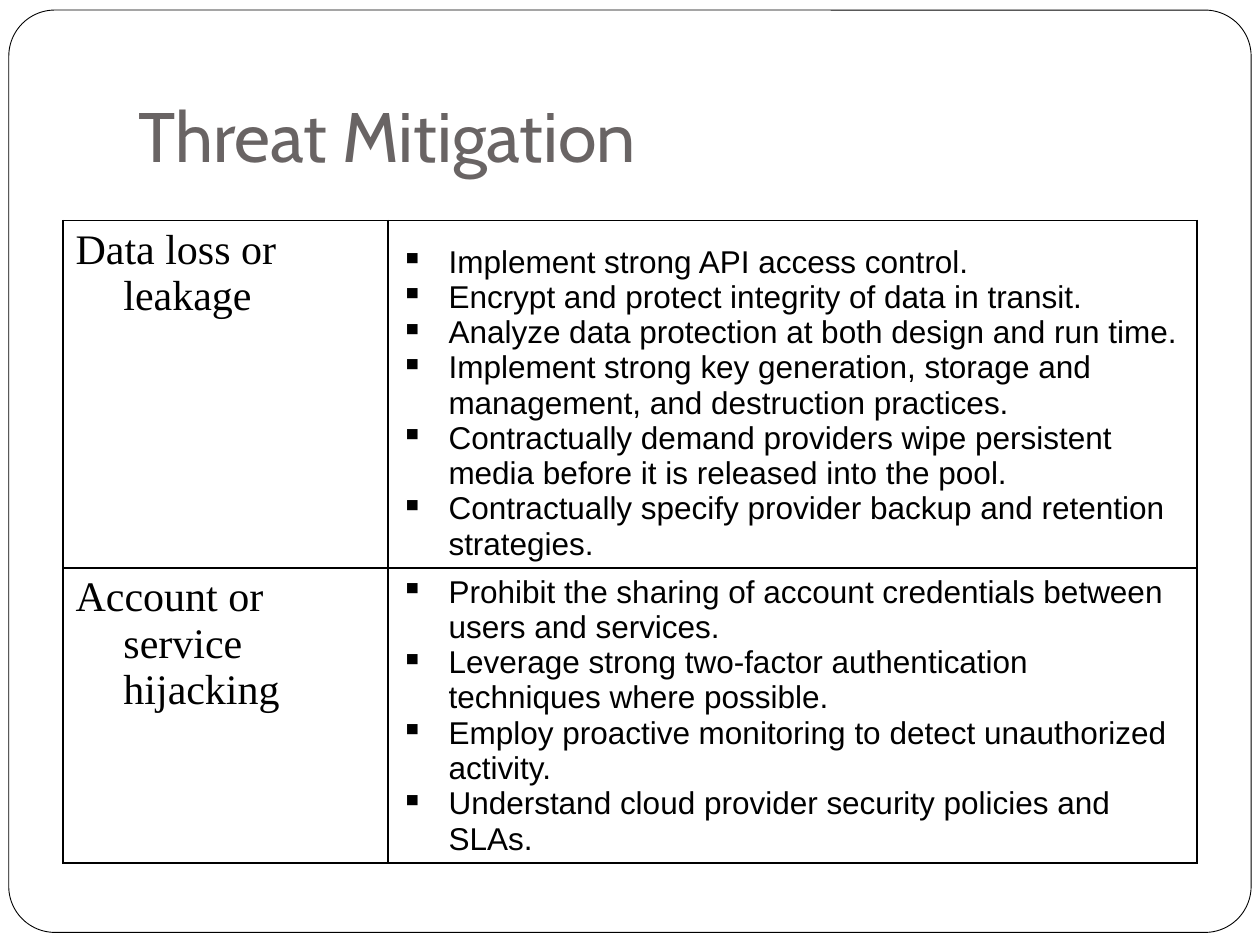
"""Build the Threat Mitigation slide."""
import pptx
import pptx.util
import pptx.dml.color
import pptx.enum.shapes
import pptx.enum.text
import lxml.etree

Inches = pptx.util.Inches
Pt = pptx.util.Pt
Anchor = pptx.enum.text.MSO_ANCHOR
NS = "http://schemas.openxmlformats.org/drawingml/2006/main"
BLACK, WHITE, GRAY = "000000", "FFFFFF", "696464"

THREATS = [
    ("Data loss or leakage", [
        "Implement strong API access control.",
        "Encrypt and protect integrity of data in transit.",
        "Analyze data protection at both design and run time.",
        "Implement strong key generation, storage and management, "
        "and destruction practices.",
        "Contractually demand providers wipe persistent media before "
        "it is released into the pool.",
        "Contractually specify provider backup and retention strategies.",
    ]),
    ("Account or service hijacking", [
        "Prohibit the sharing of account credentials between users "
        "and services.",
        "Leverage strong two-factor authentication techniques where possible.",
        "Employ proactive monitoring to detect unauthorized activity.",
        "Understand cloud provider security policies and SLAs.",
    ]),
]
COLS = [2.58, 6.42]
ROWS = [2.76, 2.34]


def color(code):
    return pptx.dml.color.RGBColor.from_string(code)


def sub(parent, tag, **attrs):
    return lxml.etree.SubElement(parent, f"{{{NS}}}{tag}", **attrs)


def style(para, face, size, code):
    para.font.name = face
    para.font.size = Pt(size)
    para.font.color.rgb = color(code)


def add_frame(slide):
    """Draw the rounded border behind everything else."""
    frame = slide.shapes.add_shape(
        pptx.enum.shapes.MSO_SHAPE.ROUNDED_RECTANGLE,
        Inches(0.07), Inches(0.08), Inches(9.86), Inches(7.32))
    frame.adjustments[0] = 0.05
    frame.shadow.inherit = False
    frame.fill.solid()
    frame.fill.fore_color.rgb = color(WHITE)
    frame.line.color.rgb = color(BLACK)
    frame.line.width = Pt(0.5)
    slide.shapes._spTree.insert(2, frame._element)


def set_title(slide, text):
    title = slide.shapes.title
    title.left, title.top = Inches(1), Inches(0.25)
    title.width, title.height = Inches(8.5), Inches(1.25)
    body = title.text_frame
    body.text = text
    body.auto_size = pptx.enum.text.MSO_AUTO_SIZE.NONE
    body.vertical_anchor = Anchor.BOTTOM
    body.margin_bottom = Inches(0.1)
    para = body.paragraphs[0]
    para.alignment = pptx.enum.text.PP_ALIGN.LEFT
    style(para, "Cabin", 40, GRAY)


def add_edges(cell):
    props = cell._tc.get_or_add_tcPr()
    for side in ("lnL", "lnR", "lnT", "lnB"):
        line = sub(props, side, w=str(Pt(1)))
        sub(sub(line, "solidFill"), "srgbClr", val=BLACK)


def fill_cell(cell, lines, face, size, anchor, mark=None):
    """Write hanging paragraphs, with a bullet if a mark is given."""
    add_edges(cell)
    cell.fill.background()
    cell.vertical_anchor = anchor
    cell.text = "\n".join(lines)
    for para in cell.text_frame.paragraphs:
        style(para, face, size, BLACK)
        props = para._p.get_or_add_pPr()
        props.set("marL", str(Inches(0.38)))
        props.set("indent", str(-Inches(0.38)))
        if mark:
            bullet = sub(props, "buChar", char=mark)
            props.remove(bullet)
            props.insert(0, bullet)


def add_grid(slide):
    table = slide.shapes.add_table(
        len(ROWS), len(COLS), Inches(0.5), Inches(1.75),
        Inches(sum(COLS)), Inches(sum(ROWS))).table
    table.first_row = table.horz_banding = False
    for col, width in zip(table.columns, COLS):
        col.width = Inches(width)
    for row, height, (threat, steps) in zip(table.rows, ROWS, THREATS):
        row.height = Inches(height)
        name, list_ = row.cells
        fill_cell(name, [threat], "Times New Roman", 24, Anchor.TOP)
        fill_cell(list_, steps, "Arial", 18, Anchor.BOTTOM, "▪")


def main():
    deck = pptx.Presentation()
    deck.slide_width, deck.slide_height = Inches(10), Inches(7.5)
    slide = deck.slides.add_slide(deck.slide_layouts[5])
    add_frame(slide)
    set_title(slide, "Threat Mitigation")
    add_grid(slide)
    deck.save("out.pptx")


if __name__ == "__main__":
    main()
